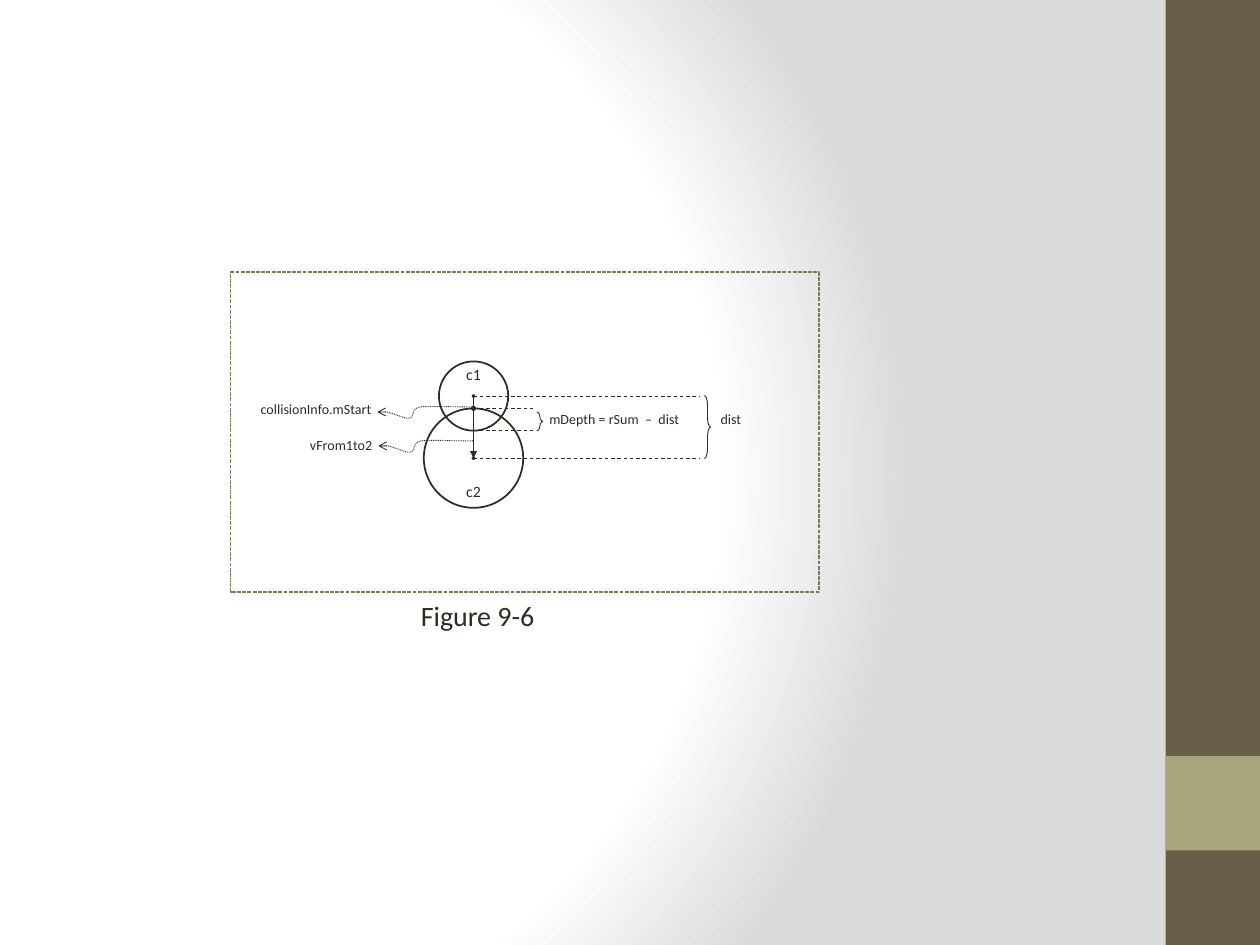
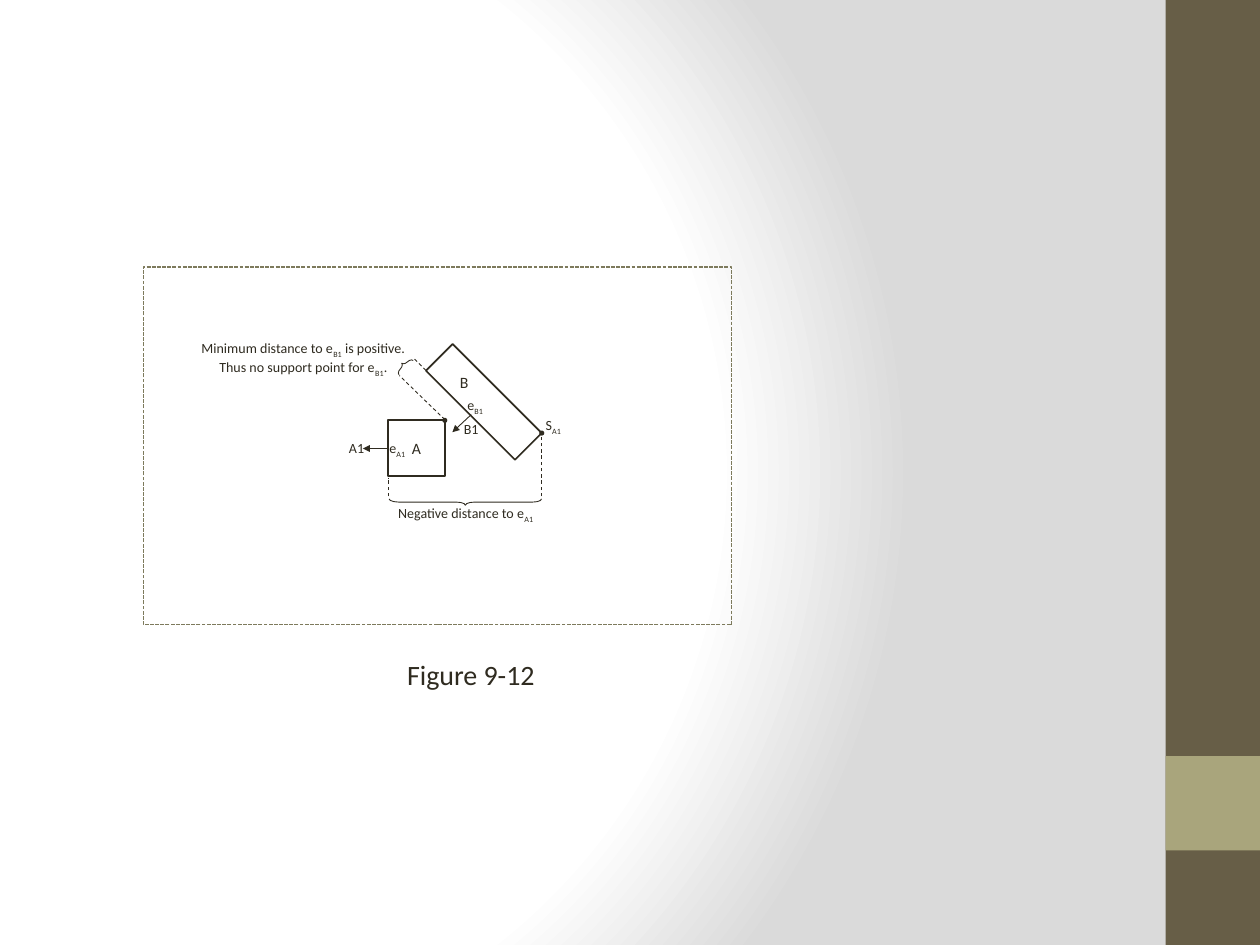
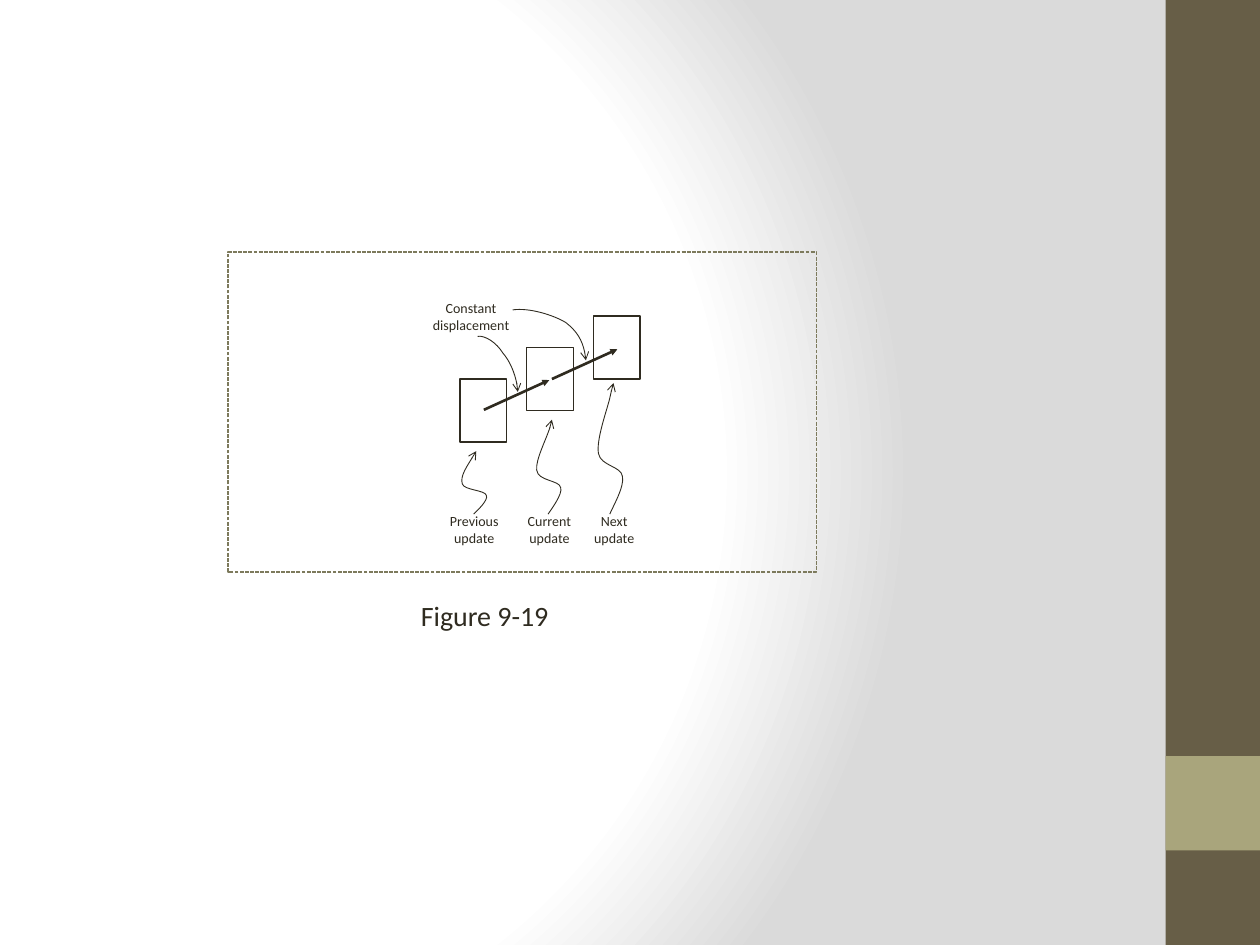
from lxml import etree
from pptx import Presentation
from pptx.dml.color import RGBColor
from pptx.enum.dml import MSO_LINE
from pptx.enum.shapes import MSO_CONNECTOR, MSO_SHAPE
from pptx.enum.text import MSO_ANCHOR, PP_ALIGN
from pptx.oxml import parse_xml
from pptx.oxml.ns import nsdecls, qn
from pptx.util import Pt

RECT, OVAL = MSO_SHAPE.RECTANGLE, MSO_SHAPE.OVAL
DONUT, BRACE = MSO_SHAPE.DONUT, MSO_SHAPE.RIGHT_BRACE
DASH, SYS_DASH, SYS_DOT = MSO_LINE.DASH, MSO_LINE.SQUARE_DOT, MSO_LINE.ROUND_DOT
STRAIGHT = MSO_CONNECTOR.STRAIGHT
LEFT, CENTER, TOP = PP_ALIGN.LEFT, PP_ALIGN.CENTER, MSO_ANCHOR.TOP

INK, FRAME, BAND, ACCENT = "2F2B20", "7D7A5C", "675E47", "A9A57C"
FONT = "Calibri"
rgb = RGBColor.from_string


def stroke(shape, width, dash=None, head=None, tail=None, color=INK):
    """Outline a shape or connector, with optional small arrowheads and no shadow."""
    shape.line.color.rgb = rgb(color)
    shape.line.width = Pt(width)
    if dash:
        shape.line.dash_style = dash
    spPr = shape.element.spPr
    for tag, kind in (("a:headEnd", head), ("a:tailEnd", tail)):
        if kind:
            etree.SubElement(spPr.find(qn("a:ln")), qn(tag),
                             type=kind, w="sm", len="sm")
    etree.SubElement(spPr, qn("a:effectLst"))


def write(shape, text, size, align=LEFT, wrap=False):
    """Fill a text shape; newlines part paragraphs, bars enclose subscripts."""
    tf = shape.text_frame
    tf.word_wrap = wrap
    tf.vertical_anchor = TOP
    tf.margin_left = tf.margin_right = 0
    tf.margin_top = tf.margin_bottom = Pt(3.6)
    for i, line in enumerate(text.split("\n")):
        p = tf.add_paragraph() if i else tf.paragraphs[0]
        p.alignment = align
        p.font.size, p.font.name = Pt(size), FONT
        p.font.color.rgb = rgb(INK)
        for j, part in enumerate(line.split("|")):
            if part:
                r = p.add_run()
                r.text = part
                if j % 2:
                    r.font._element.set("baseline", "-25000")


prs = Presentation()
prs.slide_width, prs.slide_height = Pt(720), Pt(540)
layout = prs.slide_layouts[5]  # Title Only
master = prs.slide_master

# Shared background
cSld = master.element.cSld
for bg in cSld.findall(qn("p:bg")):
    cSld.remove(bg)
stops = "".join(
    f'<a:gs pos="{pos}"><a:srgbClr val="{color}"/></a:gs>'
    for pos, color in ((0, "FFFFFF"), (75000, "FFFFFF"), (100000, "DADADA")))
cSld.insert(0, parse_xml(
    f'<p:bg {nsdecls("p", "a")}><p:bgPr><a:gradFill rotWithShape="1">'
    f'<a:gsLst>{stops}</a:gsLst><a:path path="circle">'
    '<a:fillToRect l="20000" t="50000" r="100000" b="50000"/></a:path>'
    '</a:gradFill><a:effectLst/></p:bgPr></p:bg>'))

# Slides with their dashed frame and caption: frame box, caption left and top
slides = []
for caption, frame, left, top in (
        ("Figure 9-6", (131.8, 155.5, 336.2, 182.9), 240.5, 338.4),
        ("Figure 9-12", (82, 152.6, 336.2, 204.5), 232.6, 372.2),
        ("Figure 9-19", (130.3, 144, 336.2, 182.9), 240.5, 338.4)):
    s = prs.slides.add_slide(layout)
    slides.append(s)
    title = s.shapes.title
    title.left, title.top, title.width, title.height = (
        Pt(left), Pt(top), Pt(167), Pt(26.6))
    write(title, caption, 16, wrap=True)
    sp = s.shapes.add_shape(RECT, *map(Pt, frame))
    sp.fill.background()
    stroke(sp, 0.75, SYS_DASH, color=FRAME)
circles, support, motion = slides

# Side bands are built on a slide, then moved to the master
for number, (top, height, color) in enumerate(((0, 540, BAND), (432, 54, ACCENT))):
    sp = circles.shapes.add_shape(RECT, Pt(666), Pt(top), Pt(54), Pt(height))
    sp.fill.solid()
    sp.fill.fore_color.rgb = rgb(color)
    sp.line.fill.background()
    sp.shadow.inherit = False
    sp.element.nvSpPr.cNvPr.set("id", str(20 + number))
    master.shapes.element.append(sp.element)

# Two circles on one vertical axis
axis, c1_y, c2_y, c1_r, c2_r = 270.6, 226.3, 261.8, 19.8, 28.4
c1_bottom, c2_top = c1_y + c1_r, c2_y - c2_r

# Outlines: slide, kind, centre, size, rotation, line width, adjustment
outlines = [
    (circles, DONUT, axis, c2_y, 2 * c2_r, 2 * c2_r, 0, 1, 0.491),
    (circles, DONUT, axis, c1_y, 2 * c1_r, 2 * c1_r, 0, 1, 0.487),
    (circles, BRACE, 404.3, (c1_y + c2_y) / 2, 3.6, 36, 0, 0.5, 1.471),
    (circles, BRACE, 308.5, 240.8, 3.6, 10.8, 0, 0.5, 1.471),
    (support, RECT, 238, 256, 32.4, 32.4, 0, 1, None),
    (support, RECT, 276.5, 229.7, 72, 21.6, 45, 1, None),
    (support, BRACE, 265.9, 286.9, 3.6, 87.1, 90, 0.5, 1.471),
    (support, BRACE, 230.8, 208.8, 3.6, 11.5, 225, 0.5, 1.471),
]
outlines += [(motion, RECT, 276.2 + 38.1 * i, 234.6 - 18 * i, 26.8, 36, 0, 0.75, None)
             for i in range(3)]
for s, kind, x, y, w, h, rotation, width, adjust in outlines:
    sp = s.shapes.add_shape(kind, Pt(x - w / 2), Pt(y - h / 2), Pt(w), Pt(h))
    sp.rotation = rotation
    if adjust:
        sp.adjustments[0] = adjust
    sp.fill.background()
    stroke(sp, width)

# Straight lines: slide, start, end, line width, dash, arrowhead
lines = [(circles, axis, y, end, y, 0.5, DASH, None)
         for y, end in ((c1_y, 400.3), (c2_y, 400.3),
                        (c1_bottom, 305.3), (c2_top, 305.3))]
lines += [
    (circles, axis, c1_y, axis, c2_y, 0.75, None, "triangle"),
    (support, 221.8, 283.7, 221.8, 272.9, 0.5, DASH, None),
    (support, 254.2, 239.8, 228.2, 214.6, 0.5, DASH, None),
    (support, 309.6, 283.7, 309.6, 247.7, 0.5, DASH, None),
    (support, 243.4, 211.7, 236.9, 205.2, 0.5, DASH, None),
    (support, 221.8, 256.3, 207.4, 256.3, 0.5, None, "triangle"),
    (support, 269.3, 236.9, 258.5, 247, 0.5, None, "triangle"),
]
lines += [(motion, x, y, x + 37.4, y - 17, 1.5, None, "triangle")
          for x, y in ((276.5, 234.2), (315.4, 216.6))]
for s, x1, y1, x2, y2, width, dash, tail in lines:
    stroke(s.shapes.add_connector(STRAIGHT, Pt(x1), Pt(y1), Pt(x2), Pt(y2)),
           width, dash, tail=tail)

# Dots: slide, centre
for s, x, y in ((circles, axis, c2_top), (support, 309.6, 247.5),
                (support, 254.2, 240.2)):
    sp = s.shapes.add_shape(OVAL, Pt(x - 1.45), Pt(y - 1.45), Pt(2.9), Pt(2.9))
    sp.fill.solid()
    sp.fill.fore_color.rgb = rgb(INK)
    sp.line.fill.background()
    sp.shadow.inherit = False

# Bezier curves: slide, dash, head, tail, points (a start, then triples)
wave = [(0, 0), (6.5, -1.5), (14.4, 3.6), (18, 3.6), (22.3, 2.9),
        (18, -1.5), (24.5, -2.9), (30.2, -3.6), (41, -2.9), (54.5, -2.9)]
curves = [(circles, SYS_DOT, "arrow", None, [(x + dx, y + dy) for dx, dy in wave])
          for x, y in ((216.2, 254.9), (215.6, 235.5))]
curves += [
    (motion, None, "arrow", None,
     [(272.2, 257.8), (270, 261.4), (262.8, 272.2), (264.2, 276.5), (265, 280.1),
      (277.2, 280.1), (277.9, 283), (279.4, 285.8), (272.2, 292.3), (270.7, 293.8)]),
    (motion, None, "arrow", None,
     [(315.4, 239.8), (314.6, 246.2), (306, 262.8), (306.7, 268.6), (307.4, 275),
      (319.7, 274.3), (320.4, 278.6), (321.8, 282.2), (314.6, 291.6), (313.2, 293.8)]),
    (motion, None, "arrow", None,
     [(350.6, 218.9), (350.6, 218.9), (349.9, 221), (348.5, 227.5), (347, 234),
      (340.6, 251.3), (342, 259.2), (343.4, 266.4), (355, 266.4), (355.7, 272.2),
      (357.1, 277.9), (349.9, 290.2), (348.5, 293.8)]),
    (motion, None, None, "arrow",
     [(293, 177.1), (302.4, 175.7), (316.1, 180), (323.3, 184.3), (329.8, 189.4),
      (334.1, 196.6), (334.8, 205.9)]),
    (motion, None, None, "arrow",
     [(272.9, 192.2), (277.2, 191.5), (283.7, 195.8), (287.3, 201.6), (291.6, 206.6),
      (295.9, 217.4), (295.9, 223.9)]),
]
for s, dash, head, tail, points in curves:
    start, *rest = [(Pt(x), Pt(y)) for x, y in points]
    builder = s.shapes.build_freeform(*start)
    builder.add_line_segments(rest, close=False)
    sp = builder.convert_to_shape()
    segments = list(sp.element.iter(qn("a:lnTo")))
    for first, second, third in zip(segments[::3], segments[1::3], segments[2::3]):
        first.tag = qn("a:cubicBezTo")
        for other in (second, third):
            first.append(other[0])
            other.getparent().remove(other)
    sp.fill.background()
    stroke(sp, 0.5, dash, head, tail)

# Labels: slide, text, left, top, width, size, alignment
labels = [
    (circles, "c1", 266.4, 205, 12, 9, LEFT),
    (circles, "c2", 266.4, 271.8, 12, 9, LEFT),
    (circles, "vFrom1to2", 177.1, 246.2, 38, 8, LEFT),
    (circles, "collisionInfo.mStart", 149, 225.4, 66, 8, LEFT),
    (circles, "dist", 411.8, 231.1, 14, 8, LEFT),
    (circles, "mDepth = rSum  –  dist", 313.9, 231.1, 78, 8, LEFT),
    (support, "A", 235.4, 247, 8, 9, LEFT),
    (support, "B", 262.8, 209.5, 8, 9, LEFT),
    (support, "S|A1|", 311.8, 234.7, 12, 8, LEFT),
    (support, "A1", 199.4, 247.7, 12, 8, LEFT),
    (support, "e|A1|", 222.5, 247.7, 12, 8, LEFT),
    (support, "B1", 265, 236.9, 12, 8, LEFT),
    (support, "e|B1|", 267.1, 223.2, 12, 8, LEFT),
    (support, "Negative distance to e|A1|", 224.1, 284.8, 84, 8, CENTER),
    (support, "Minimum distance to e|B1| is positive.\n"
     "Thus no support point for e|B1|.", 112.8, 190.5, 121, 8, CENTER),
    (motion, "Previous\nupdate", 255, 289.6, 32, 8, CENTER),
    (motion, "Current\nupdate", 299, 289.6, 30, 8, CENTER),
    (motion, "Next\nupdate", 336, 289.6, 30, 8, CENTER),
    (motion, "Constant\ndisplacement", 244.2, 167.8, 50, 8, CENTER),
]
for s, text, left, top, width, size, align in labels:
    height = 26.6 if "\n" in text else 17.3
    write(s.shapes.add_textbox(Pt(left), Pt(top), Pt(width), Pt(height)),
          text, size, align)

prs.save("out.pptx")
